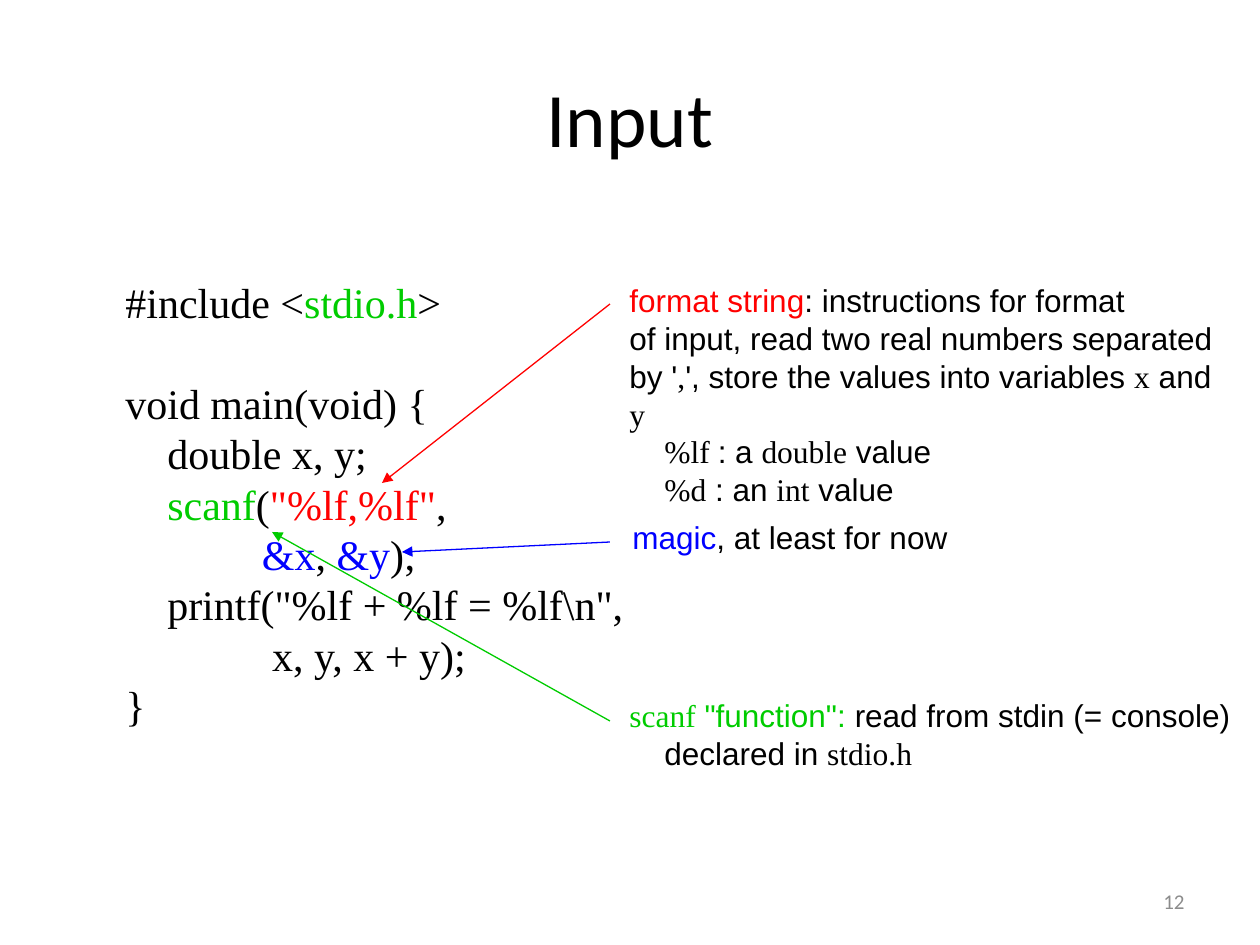
from lxml.etree import SubElement
from pptx import Presentation
from pptx.dml.color import RGBColor
from pptx.enum.shapes import MSO_CONNECTOR
from pptx.enum.text import MSO_ANCHOR, MSO_AUTO_SIZE, PP_ALIGN
from pptx.oxml.ns import qn
from pptx.util import Pt

EMU_PER_PX = 914400 / 126
SERIF, SANS, HEADING = "Times New Roman", "Arial", "Calibri"
BLACK, RED, GREEN, BLUE, GRAY = "000000", "FF0000", "00CC00", "0000FF", "8C8C8C"
INDENT = 35
BLANK_LINE = 29

TITLE = ("Input", (63, 38, 1134, 158))
PAGE_NUMBER = ("12", (903, 876, 294, 50))

CODE_BOX = (113, 270, 528, 471)
CODE = [
    [("#include <", BLACK), ("stdio.h", GREEN), (">", BLACK)],
    [("void main(void) {", BLACK)],
    [("    double x, y;", BLACK)],
    [("    ", BLACK), ("scanf", GREEN), ("(", BLACK), ('"%lf,%lf"', RED), (",", BLACK)],
    [("             ", BLACK), ("&x", BLUE), (", ", BLACK), ("&y", BLUE), (");", BLACK)],
    [('    printf("%lf + %lf = %lf\\n",', BLACK)],
    [("              x, y, x + y);", BLACK)],
    [("}", BLACK)],
]
LINE_AFTER_GAP = 1

NOTES = [
    {
        "box": (617, 275, 631, 239),
        "arrow": ((610, 304), (382, 483)),
        "color": RED,
        "lines": [
            (0, [("format string", RED, SANS), (": instructions for format", BLACK, SANS)]),
            (0, [("of input, read two real numbers separated", BLACK, SANS)]),
            (0, [("by '", BLACK, SANS), (",", BLACK, SERIF),
                 ("', store the values into variables ", BLACK, SANS),
                 ("x", BLACK, SERIF), (" and ", BLACK, SANS), ("y", BLACK, SERIF)]),
            (1, [("%lf ", BLACK, SERIF), (": a ", BLACK, SANS),
                 ("double", BLACK, SERIF), (" value", BLACK, SANS)]),
            (1, [("%d", BLACK, SERIF), (" : an ", BLACK, SANS),
                 ("int", BLACK, SERIF), (" value", BLACK, SANS)]),
        ],
    },
    {
        "box": (617, 690, 633, 89),
        "arrow": ((610, 721), (272, 532)),
        "color": GREEN,
        "lines": [
            (0, [("scanf", GREEN, SERIF), (' "function":', GREEN, SANS),
                 (" read from stdin (= console)", BLACK, SANS)]),
            (1, [("declared in ", BLACK, SANS), ("stdio.h", BLACK, SERIF)]),
        ],
    },
    {
        "box": (620, 512, 340, 50),
        "arrow": ((610, 542), (402, 552)),
        "color": BLUE,
        "lines": [(0, [("magic", BLUE, SANS), (", at least for now", BLACK, SANS)])],
    },
]


def px(length):
    return round(length * EMU_PER_PX)


def rgb(color):
    return RGBColor.from_string(color)


def style(font, size, color, face):
    font.size, font.name = Pt(size), face
    font.color.rgb = rgb(color)


def add_lines(slide, box, lines, size):
    frame = slide.shapes.add_textbox(*map(px, box)).text_frame
    frame.word_wrap = False
    frame.auto_size = MSO_AUTO_SIZE.SHAPE_TO_FIT_TEXT
    for number, (level, pieces) in enumerate(lines):
        line = frame.add_paragraph() if number else frame.paragraphs[0]
        if level:
            line._p.get_or_add_pPr().set("marL", str(px(level * INDENT)))
        for words, color, face in pieces:
            run = line.add_run()
            run.text = words
            style(run.font, size, color, face)
    return frame


def add_arrow(slide, start, end, color):
    arrow = slide.shapes.add_connector(MSO_CONNECTOR.STRAIGHT, *map(px, start + end))
    arrow.line.color.rgb = rgb(color)
    arrow.line.width = Pt(0.75)
    SubElement(arrow.line._get_or_add_ln(), qn("a:tailEnd"), type="triangle")
    SubElement(arrow._element.spPr, qn("a:effectLst"))


def fill_label(shape, words, size, color, align):
    frame = shape.text_frame
    frame.text = words
    frame.vertical_anchor = MSO_ANCHOR.MIDDLE
    frame.paragraphs[0].alignment = align
    style(frame.paragraphs[0].runs[0].font, size, color, HEADING)


def main():
    deck = Presentation()
    deck.slide_width, deck.slide_height = px(1260), px(945)
    slide = deck.slides.add_slide(deck.slide_layouts[5])

    heading, heading_box = TITLE
    title = slide.shapes.title
    title.left, title.top, title.width, title.height = map(px, heading_box)
    fill_label(title, heading, 44, BLACK, PP_ALIGN.CENTER)

    code_lines = [(0, [(words, color, SERIF) for words, color in line]) for line in CODE]
    code = add_lines(slide, CODE_BOX, code_lines, 24)
    code.paragraphs[LINE_AFTER_GAP].space_before = Pt(BLANK_LINE)

    for note in NOTES:
        add_arrow(slide, *note["arrow"], note["color"])
        add_lines(slide, note["box"], note["lines"], 18)

    number, number_box = PAGE_NUMBER
    page = slide.shapes.add_textbox(*map(px, number_box))
    page.text_frame.word_wrap = True
    fill_label(page, number, 12, GRAY, PP_ALIGN.RIGHT)

    deck.save("out.pptx")


if __name__ == "__main__":
    main()
